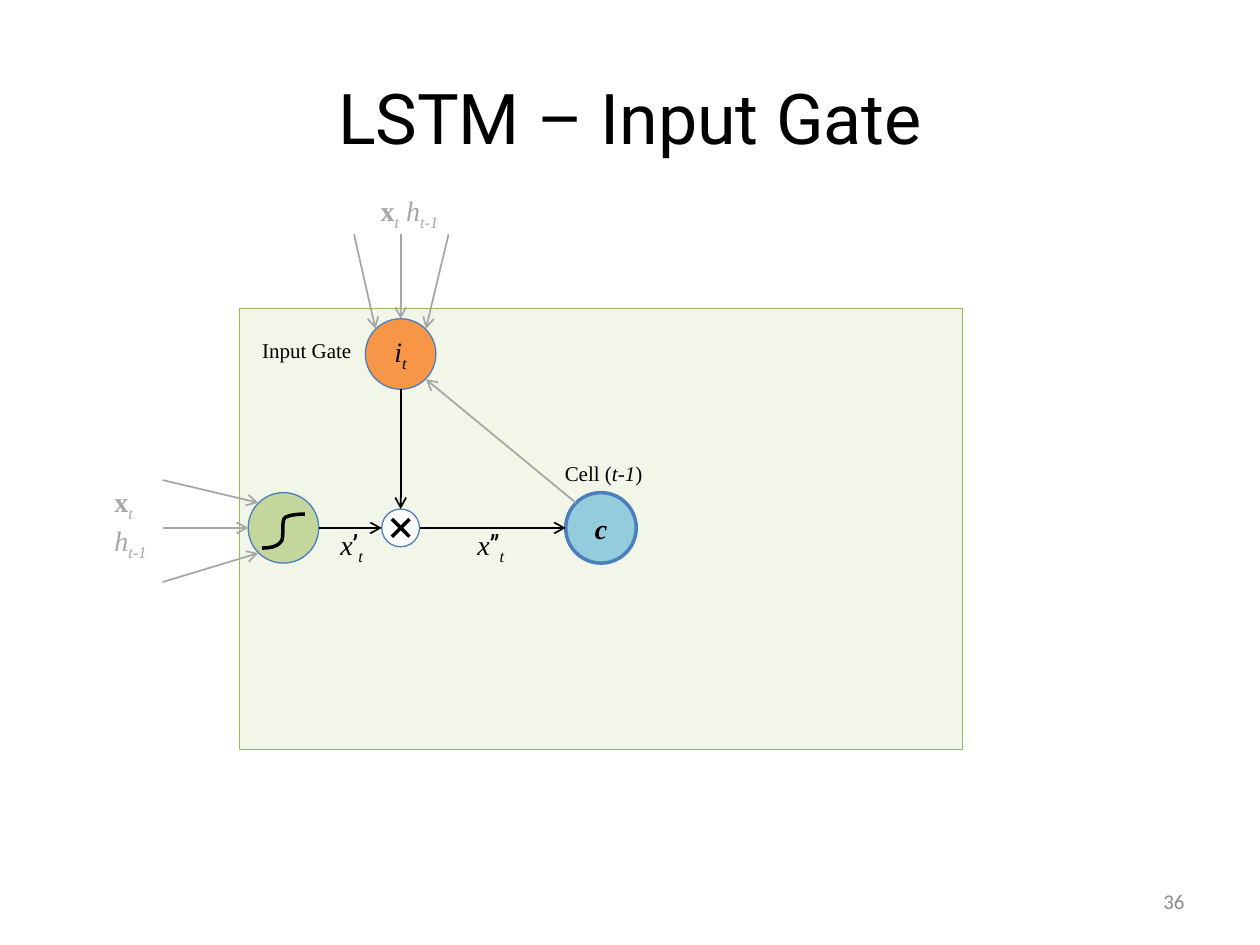
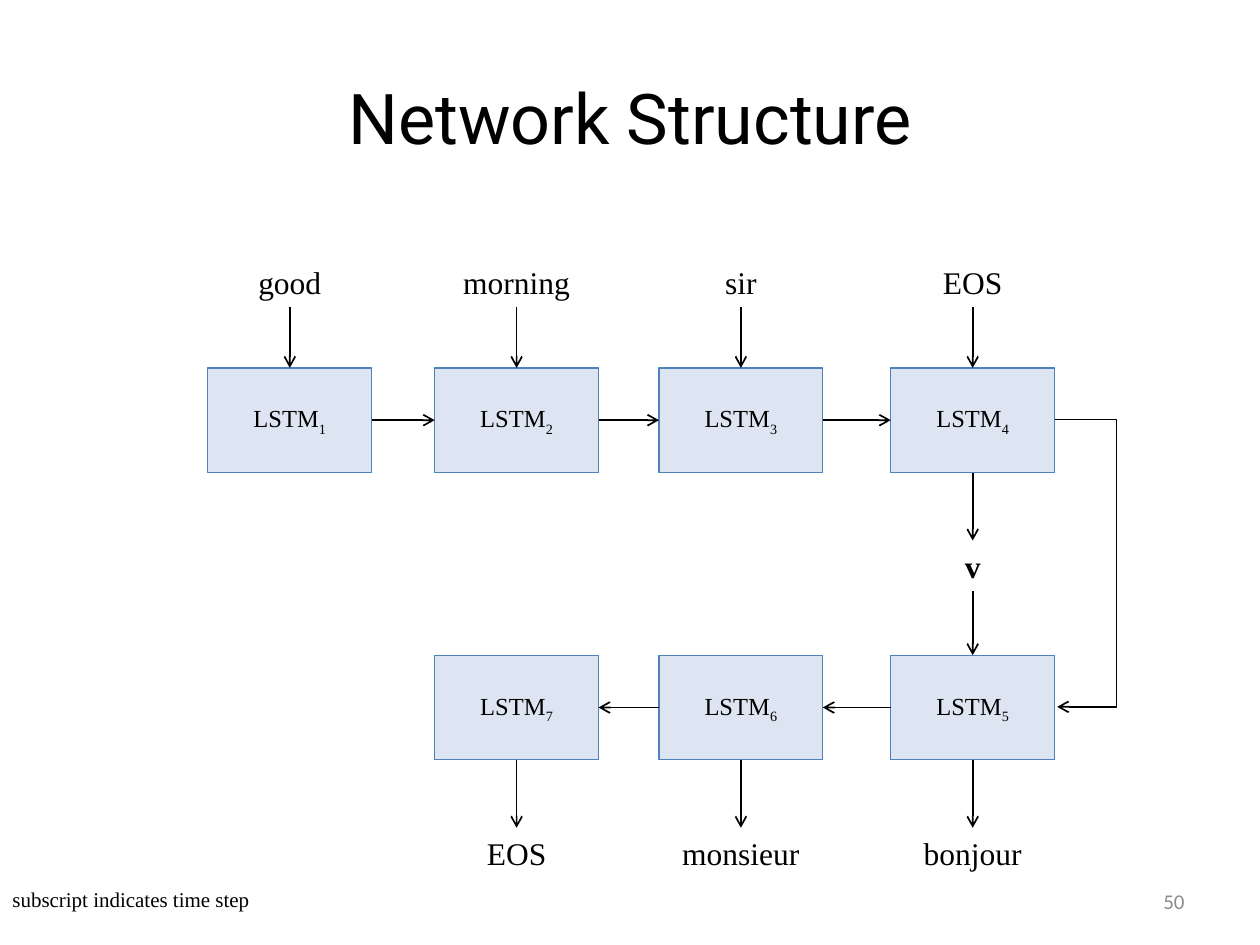
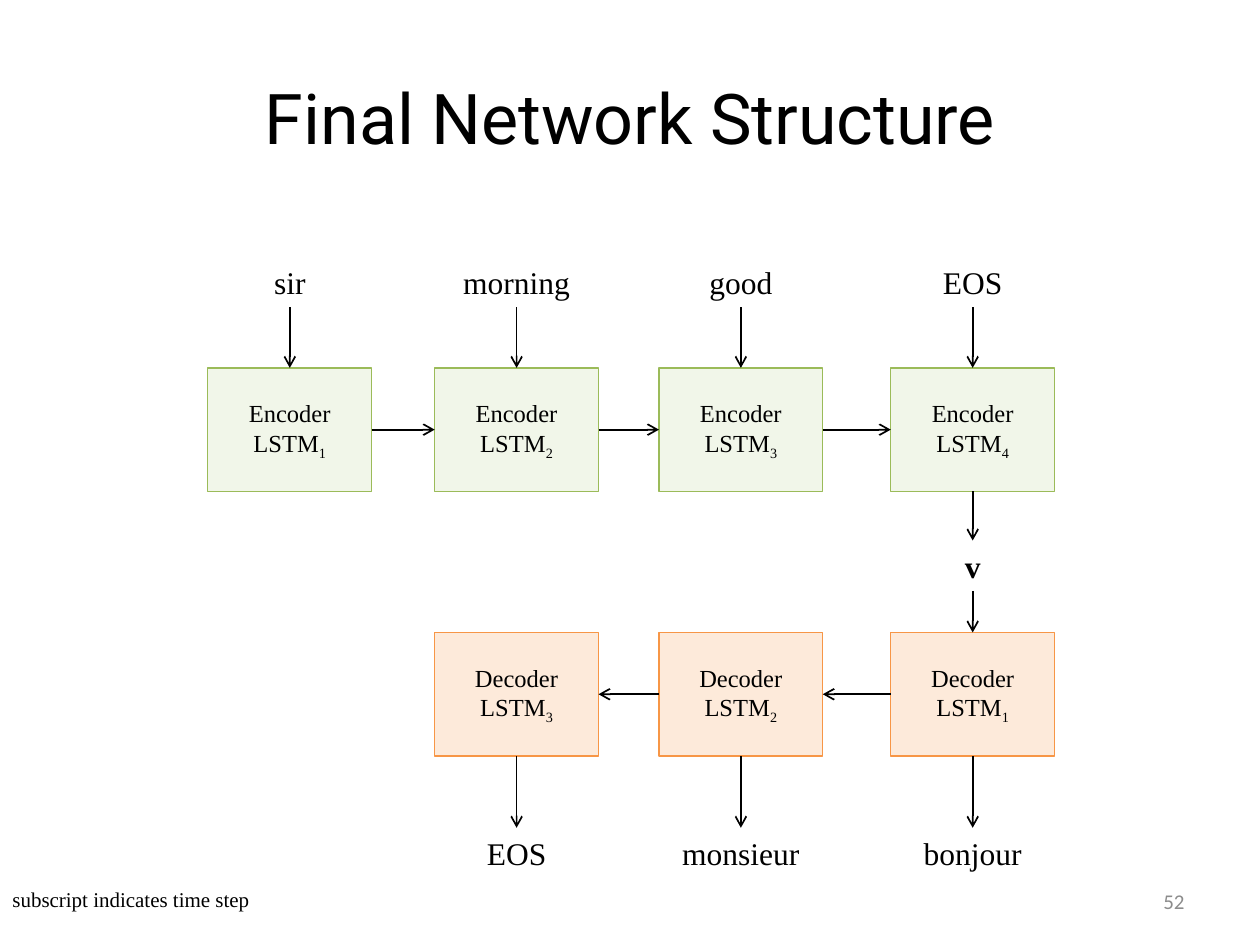
from dataclasses import dataclass
from lxml.etree import SubElement
from pptx import Presentation
from pptx.dml.color import RGBColor
from pptx.enum.shapes import MSO_CONNECTOR, MSO_SHAPE
from pptx.enum.text import MSO_ANCHOR, MSO_AUTO_SIZE, PP_ALIGN
from pptx.oxml.ns import qn
from pptx.util import Inches, Pt

COLORS = {
    "black": "000000", "white": "FFFFFF", "gray": "A6A6A6", "number": "8C8C8C",
    "rim": "4B7EBC", "squash": "C3D69B", "gate": "F79646", "memory": "93CDDD",
    "blue": "95B3D7", "blue edge": "4F81BD", "green": "D7E4BD",
    "green edge": "9BBB59", "orange": "FAC090", "orange edge": "F79646",
}
SERIF, SANS, NUMBER_FONT = "Times New Roman", "Roboto", "Calibri"
STYLES = {
    "bold": {"bold": True},
    "italic": {"italic": True},
    "sub": {},
    "sans": {"name": SANS},
}
COLUMNS = [0, 1.8, 3.58, 5.42]
CELL_WIDTH = 1.3
WORD_HEIGHT = 0.4
WORD_WIDTHS = {"good": 0.73, "morning": 1.07, "sir": 0.45, "EOS": 0.71,
               "bonjour": 1.01, "monsieur": 1.2, "v": 0.33}
TOP, LEFT, BOTTOM, RIGHT = range(4)


@dataclass
class Box:
    left: float
    top: float
    width: float
    height: float

    def lengths(self):
        return [Inches(n) for n in (self.left, self.top, self.width, self.height)]

    def at(self, dx, dy):
        """Point at an offset from the top left corner."""
        return self.left + dx, self.top + dy

    def inner(self, dx, dy, width, height):
        """Box at an offset from the top left corner."""
        return Box(*self.at(dx, dy), width, height)


@dataclass
class Joint:
    shape: object
    site: int


def color(name):
    return RGBColor.from_string(COLORS[name])


def write(frame, lines, size, ink="black", font=SERIF, align=PP_ALIGN.CENTER):
    """Each line is a list of spans: plain text, or (text, style names)."""
    for index, line in enumerate(lines):
        para = frame.paragraphs[0] if index == 0 else frame.add_paragraph()
        para.alignment = align
        for item in line:
            text, styles = (item, "") if isinstance(item, str) else item
            span = para.add_run()
            span.text = text
            formats = {"name": font, "size": Pt(size)}
            for style in styles.split():
                formats.update(STYLES[style])
            for name, value in formats.items():
                setattr(span.font, name, value)
            span.font.color.rgb = color(ink)
            if "sub" in styles:
                span.font._element.set("baseline", "-25000")


def add_text(page, box, lines, size, wrap=True, anchor=MSO_ANCHOR.MIDDLE, **look):
    frame = page.shapes.add_textbox(*box.lengths()).text_frame
    frame.word_wrap = wrap
    frame.vertical_anchor = anchor
    write(frame, lines, size, **look)
    return frame


def add_label(page, box, lines, size, wrap=False, **look):
    frame = add_text(page, box, lines, size, wrap, MSO_ANCHOR.TOP, **look)
    frame.auto_size = MSO_AUTO_SIZE.SHAPE_TO_FIT_TEXT


def add_word(page, center, top, word, style=""):
    width = WORD_WIDTHS[word]
    box = Box(center - width / 2, top, width, WORD_HEIGHT)
    add_label(page, box, [[(word, style)]], 18)


def add_filled(page, kind, box, fill, edge, weight=0.75, alpha=None):
    shape = page.shapes.add_shape(kind, *box.lengths())
    shape.shadow.inherit = False
    shape.fill.solid()
    shape.fill.fore_color.rgb = color(fill)
    shape.line.color.rgb = color(edge)
    shape.line.width = Pt(weight)
    if alpha:
        solid = shape._element.spPr.find(qn("a:solidFill"))
        SubElement(solid[0], qn("a:alpha"), val=str(alpha * 1000))
    return shape


def add_line(page, start, end, ink="black", weight=1, arrow=True,
             kind=MSO_CONNECTOR.STRAIGHT):
    """Draw a connector between points or joints."""
    points = [(0, 0) if isinstance(spot, Joint) else spot for spot in (start, end)]
    line = page.shapes.add_connector(
        kind, *[Inches(n) for point in points for n in point])
    if isinstance(start, Joint):
        line.begin_connect(start.shape, start.site)
    if isinstance(end, Joint):
        line.end_connect(end.shape, end.site)
    line.line.color.rgb = color(ink)
    line.line.width = Pt(weight)
    if arrow:
        SubElement(line.line._get_or_add_ln(), qn("a:tailEnd"), type="arrow")
    SubElement(line._element.spPr, qn("a:effectLst"))
    return line


def add_page(deck, title, number):
    page = deck.slides.add_slide(deck.slide_layouts[6])
    add_text(page, Box(0.5, 0.3, 9, 1.25), [[title]], 40, font=SANS)
    add_text(page, Box(7.17, 6.95, 2.33, 0.4), [[number]], 12,
             ink="number", font=NUMBER_FONT, align=PP_ALIGN.RIGHT)
    return page


def add_node(page, center, diameter, fill, spans=(), weight=0.75):
    x, y = center
    box = Box(x - diameter / 2, y - diameter / 2, diameter, diameter)
    node = add_filled(page, MSO_SHAPE.OVAL, box, fill, "rim", weight)
    if spans:
        node.text_frame.vertical_anchor = MSO_ANCHOR.MIDDLE
        write(node.text_frame, [spans], 16)


def add_squash_curve(page, box):
    knots = [(0, 0.27), (0.06, 0.27), (0.12, 0.26), (0.15, 0.22), (0.18, 0.19),
             (0.15, 0.07), (0.18, 0.03), (0.22, 0), (0.34, 0), (0.34, 0)]
    points = []
    for first in range(0, 9, 3):
        a, b, c, d = knots[first:first + 4]
        for t in (step / 12 for step in range(13)):
            weights = ((1 - t) ** 3, 3 * t * (1 - t) ** 2, 3 * t * t * (1 - t), t ** 3)
            offset = [sum(w * p[axis] for w, p in zip(weights, (a, b, c, d)))
                      for axis in (0, 1)]
            points.append([Inches(n) for n in box.at(*offset)])
    builder = page.shapes.build_freeform(*points[0])
    builder.add_line_segments(points[1:], close=False)
    curve = builder.convert_to_shape()
    curve.shadow.inherit = False
    curve.fill.background()
    curve.line.color.rgb = color("black")
    curve.line.width = Pt(2)


def add_input_gate(page, box):
    add_filled(page, MSO_SHAPE.RECTANGLE, box, "green", "green edge", alpha=33)
    row, size, radius, diagonal = 1.74, 0.56, 0.28, 0.2
    squash_x, gate_x, gate_y, memory_x = 0.35, 1.28, 0.36, 2.87
    add_node(page, box.at(squash_x, row), size, "squash")
    add_squash_curve(page, box.inner(0.18, 1.63, 0.34, 0.28))
    add_node(page, box.at(gate_x, gate_y), size, "gate",
             [("i", "italic"), ("t", "italic sub")])
    add_node(page, box.at(gate_x, row), 0.3, "white")
    add_node(page, box.at(memory_x, row), size, "memory", [("c", "bold italic")], 2)

    for rise in (-0.07, 0.07):
        add_line(page, box.at(gate_x - 0.07, row + rise),
                 box.at(gate_x + 0.07, row - rise), weight=2, arrow=False)
    flows = [
        ("black", (gate_x, gate_y + radius), (gate_x, row - 0.15)),
        ("black", (squash_x + radius, row), (gate_x - 0.15, row)),
        ("black", (gate_x + 0.15, row), (memory_x - radius, row)),
        ("gray", (memory_x - diagonal, row - diagonal),
         (gate_x + diagonal, gate_y + diagonal)),
        ("gray", (-0.61, 1.36), (squash_x - diagonal, row - diagonal)),
        ("gray", (-0.61, row), (squash_x - radius, row)),
        ("gray", (-0.61, 2.17), (squash_x - diagonal, row + diagonal)),
        ("gray", (gate_x, -0.59), (gate_x, gate_y - radius)),
        ("gray", (gate_x + 0.38, -0.59), (gate_x + diagonal, gate_y - diagonal)),
        ("gray", (gate_x - 0.37, -0.59), (gate_x - diagonal, gate_y - diagonal)),
    ]
    for ink, start, end in flows:
        add_line(page, box.at(*start), box.at(*end), ink)

    add_label(page, box.inner(0.05, 0.18, 0.97, 0.3), [["Input Gate"]], 12)
    add_label(page, box.inner(2.45, 1.16, 0.88, 0.3),
              [["Cell (", ("t-1", "italic"), ")"]], 12)
    for left, width, primes in ((1.72, 0.55, "’’"), (0.65, 0.48, "’")):
        add_label(page, box.inner(left, 1.69, width, 0.37),
                  [[("x", "italic"), (primes, "sans"), ("t", "italic sub")]], 16)
    current = [("x", "bold"), ("t", "italic sub")]
    previous = [("h", "italic"), ("t-1", "italic sub")]
    add_label(page, box.inner(-1.09, 1.35, 0.55, 0.82), [current, previous], 16,
              ink="gray", align=PP_ALIGN.JUSTIFY)
    add_label(page, box.inner(0.95, -0.96, 0.8, 0.37), [current + [" "] + previous], 16,
              ink="gray")


def add_chain(page, box, words, first, prefix, tint, cell_height, encoding):
    """Row of cells: reads words from above, or emits them below, right to left."""
    columns = COLUMNS if encoding else COLUMNS[::-1]
    cell_top = box.height - cell_height if encoding else 0
    word_top = box.top if encoding else box.top + box.height - WORD_HEIGHT
    cells = []
    for step, (word, column) in enumerate(zip(words, columns), first):
        place = box.inner(column, cell_top, CELL_WIDTH, cell_height)
        cell = add_filled(page, MSO_SHAPE.RECTANGLE, place, tint, tint + " edge", alpha=33)
        cell.text_frame.vertical_anchor = MSO_ANCHOR.MIDDLE
        heading = [[prefix]] if prefix else []
        write(cell.text_frame, heading + [["LSTM", (str(step), "sub")]], 14)
        center = place.left + CELL_WIDTH / 2
        add_word(page, center, word_top, word)
        if encoding:
            add_line(page, (center, word_top + WORD_HEIGHT), Joint(cell, TOP))
        else:
            add_line(page, Joint(cell, BOTTOM), (center, word_top))
        cells.append(cell)
    leave, enter = (RIGHT, LEFT) if encoding else (LEFT, RIGHT)
    for cell, following in zip(cells, cells[1:]):
        add_line(page, Joint(cell, leave), Joint(following, enter))
    return cells


def add_network(page, box, source, encoder, decoder):
    """Encoder row above, vector v, decoder row below."""
    encoder_bottom, decoder_top = encoder["bottom"], decoder["top"]
    readers = add_chain(page, box.inner(0, 0, box.width, encoder_bottom), source,
                        encoding=True, **encoder["look"])
    writers = add_chain(page, box.inner(0, decoder_top, box.width, box.height - decoder_top),
                        ["bonjour", "monsieur", "EOS"], encoding=False, **decoder["look"])
    center, vector_top = box.at(COLUMNS[-1] + CELL_WIDTH / 2, 2.25)
    add_word(page, center, vector_top, "v", "bold")
    add_line(page, Joint(readers[-1], BOTTOM), (center, vector_top))
    add_line(page, (center, vector_top + WORD_HEIGHT), Joint(writers[0], TOP))
    add_label(page, Box(0, 6.99, 4.02, 0.3), [["subscript indicates time step"]], 12,
              wrap=True, align=PP_ALIGN.LEFT)


def add_state_link(page, box):
    """Bent arrow around the right side, from the top to the bottom of the box."""
    reach, gap = box.width, 0.02
    link = add_line(page, box.at(0, 0), box.at(gap, box.height), kind=MSO_CONNECTOR.ELBOW)
    geometry = link._element.spPr.find(qn("a:prstGeom"))
    guides = geometry.find(qn("a:avLst"))
    if guides is None:
        guides = SubElement(geometry, qn("a:avLst"))
    SubElement(guides, qn("a:gd"), name="adj1", fmla=f"val {round(reach / gap * 100000)}")


def main():
    deck = Presentation()
    deck.slide_width, deck.slide_height = Inches(10), Inches(7.5)

    add_input_gate(add_page(deck, "LSTM – Input Gate", "36"), Box(1.9, 2.45, 5.74, 3.5))

    network = Box(1.65, 2.04, 6.72, 4.93)
    plain = {"prefix": "", "tint": "blue", "cell_height": 0.83}
    page = add_page(deck, "Network Structure", "50")
    add_network(page, network, ["good", "morning", "sir", "EOS"],
                {"bottom": 1.71, "look": {"first": 1, **plain}},
                {"top": 3.16, "look": {"first": 5, **plain}})
    add_state_link(page, Box(8.37, 3.33, 0.49, 2.28))

    page = add_page(deck, "Final Network Structure", "52")
    add_network(page, network, ["sir", "morning", "good", "EOS"],
                {"bottom": 1.86, "look": {"first": 1, "prefix": "Encoder",
                                          "tint": "green", "cell_height": 0.98}},
                {"top": 2.98, "look": {"first": 1, "prefix": "Decoder",
                                       "tint": "orange", "cell_height": 0.98}})
    deck.save("out.pptx")


if __name__ == "__main__":
    main()
